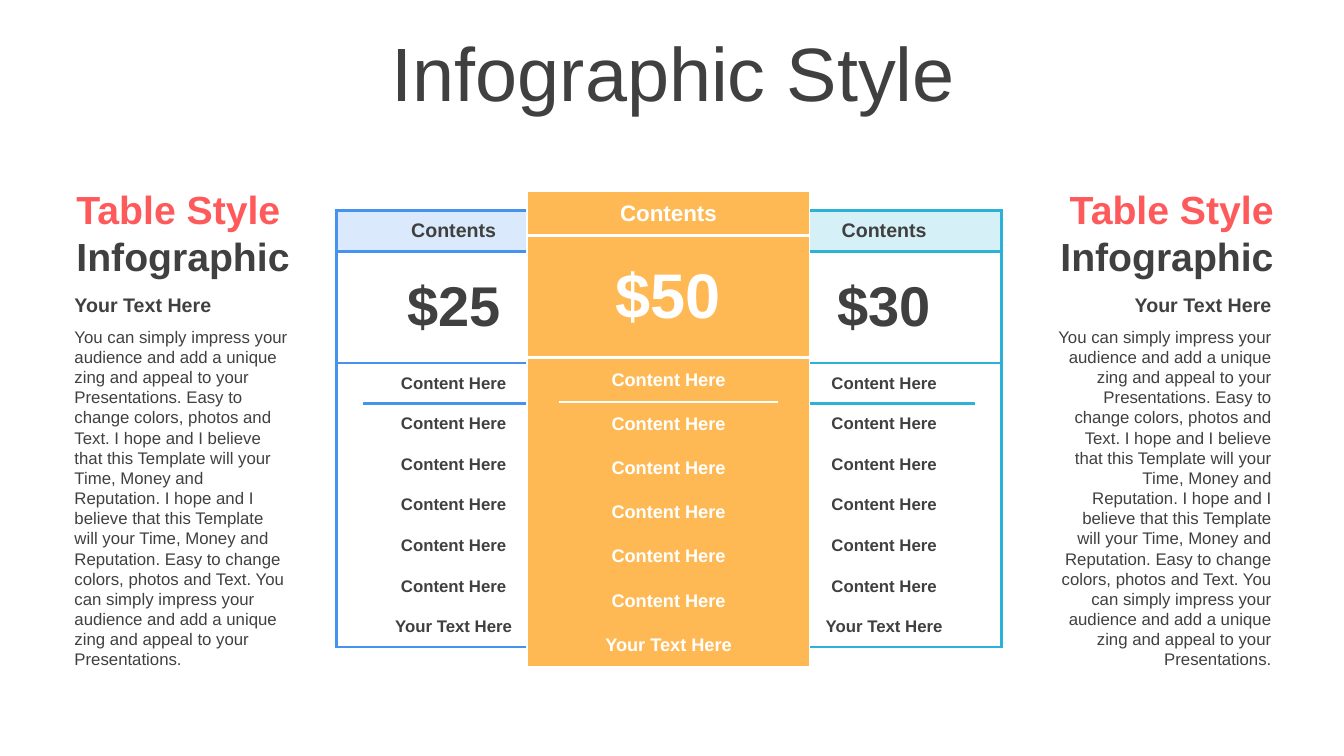
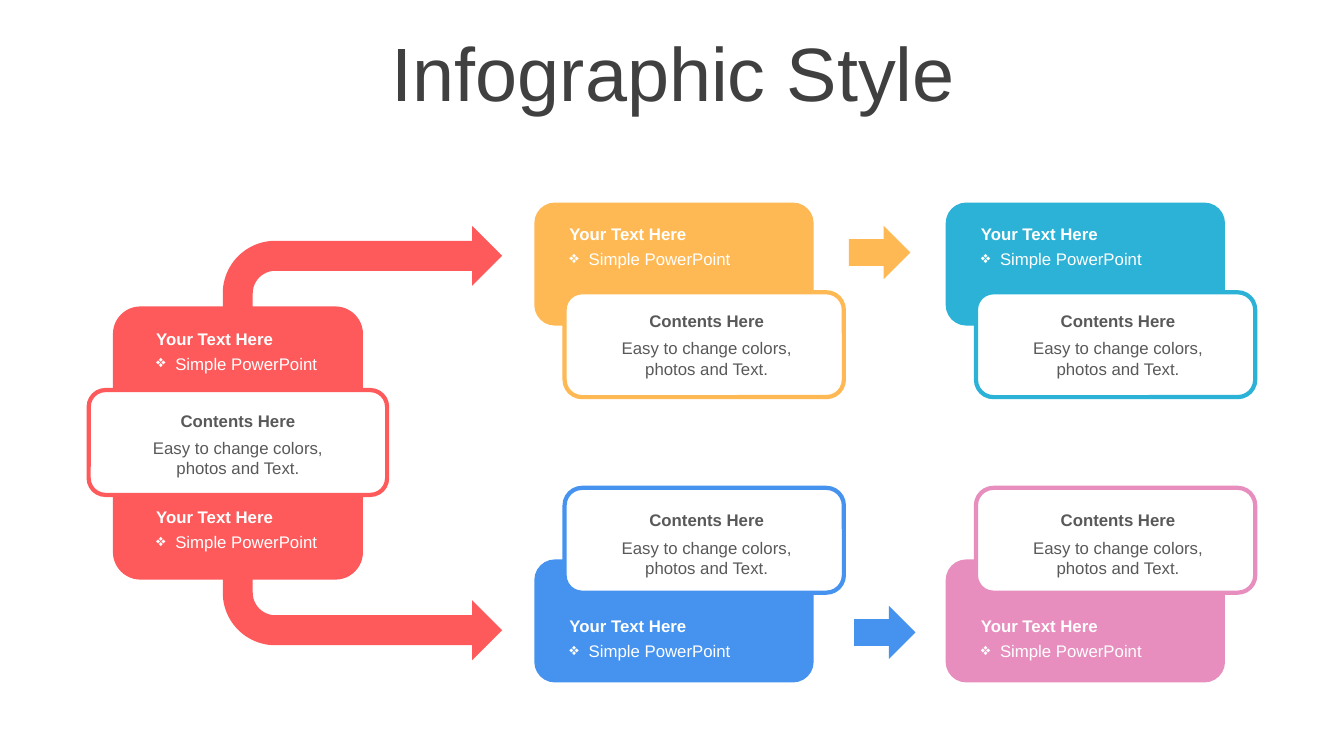
from dataclasses import dataclass

from lxml import etree
from pptx import Presentation
from pptx.dml.color import RGBColor
from pptx.enum import shapes, text
from pptx.oxml.ns import qn
from pptx.util import Emu, Pt

PX = 9144  # EMU per px, 100 px to the inch
LEFT, CENTER, RIGHT = text.PP_ALIGN.LEFT, text.PP_ALIGN.CENTER, text.PP_ALIGN.RIGHT
TOP, MIDDLE = text.MSO_ANCHOR.TOP, text.MSO_ANCHOR.MIDDLE
SHAPE = shapes.MSO_SHAPE


def px(value):
    return Emu(round(value * PX))


@dataclass(frozen=True)
class Theme:
    font: str = "Arial"
    # Colours
    ink: str = "404040"
    grey: str = "595959"
    white: str = "FFFFFF"
    red: str = "FE5A5B"
    orange: str = "FFB954"
    blue: str = "4592EF"
    teal: str = "2CB2D7"
    pink: str = "E78EBE"
    pale_blue: str = "DAE9FC"
    pale_teal: str = "D5F0F7"
    # Type sizes
    title: int = 54
    banner: int = 28
    label: int = 14
    body: int = 12


THEME = Theme()


@dataclass(frozen=True)
class PriceStyle:
    """Look of one price table: colours, type sizes, insets and borders."""
    header_fill: str
    fill: str
    ink: str
    line: str
    sizes: tuple = (14, 40, 12)
    insets: tuple = (8, 4)
    line_width: float = 2.25
    price_height: int = 111
    gutter: int = 26


class Deck:
    """Holds the theme and the slide being drawn."""

    def __init__(self, theme):
        self.theme = theme
        self.presentation = Presentation()
        self.presentation.slide_width = px(1333)
        self.presentation.slide_height = px(750)
        self.slide = None

    def new_slide(self, title):
        layout = self.presentation.slide_layouts[5]
        self.slide = self.presentation.slides.add_slide(layout)
        holder = self.slide.shapes.title
        box = {"left": 35, "top": 37, "width": 1266, "height": 79}
        for name, value in box.items():
            setattr(holder, name, px(value))
        self.fill_frame(holder.text_frame, [(title, self.theme.ink)],
                        self.theme.title, align=CENTER, anchor=MIDDLE)
        holder.text_frame.paragraphs[0].line_spacing = 0.9

    def add_text(self, paragraph, content, size, color, bold=False, align=LEFT):
        paragraph.alignment = align
        run = paragraph.add_run()
        run.text = content
        style = {"name": self.theme.font, "size": Pt(size), "bold": bold}
        for name, value in style.items():
            setattr(run.font, name, value)
        run.font.color.rgb = RGBColor.from_string(color)

    def fill_frame(self, frame, lines, size, bold=False, align=LEFT, anchor=TOP):
        settings = {"word_wrap": True, "vertical_anchor": anchor,
                    "auto_size": text.MSO_AUTO_SIZE.NONE}
        for name, value in settings.items():
            setattr(frame, name, value)
        for index, (content, color) in enumerate(lines):
            paragraph = frame.add_paragraph() if index else frame.paragraphs[0]
            self.add_text(paragraph, content, size, color, bold, align)

    def text_box(self, box, lines, size, **style):
        shape = self.slide.shapes.add_textbox(*map(px, box))
        self.fill_frame(shape.text_frame, lines, size, **style)
        return shape

    def bullet(self, box, content, color):
        shape = self.text_box(box, [(content, color)], self.theme.body, anchor=MIDDLE)
        properties = shape.text_frame.paragraphs[0]._p.get_or_add_pPr()
        properties.set("marL", str(px(19)))
        properties.set("indent", str(px(-19)))
        etree.SubElement(properties, qn("a:buChar")).set("char", "❖")

    def shape(self, kind, box, fill, line=None, radius=None, flipped=False):
        shape = self.slide.shapes.add_shape(kind, *map(px, box))
        shape.shadow.inherit = False
        shape.fill.solid()
        shape.fill.fore_color.rgb = RGBColor.from_string(fill)
        if line:
            shape.line.color.rgb = RGBColor.from_string(line)
            shape.line.width = Pt(3)
        else:
            shape.line.fill.background()
        if radius:
            shape.adjustments[0] = radius
        if flipped:
            shape.element.spPr.find(qn("a:xfrm")).set("flipV", "1")

    # Tables

    def cell(self, cell, style, fill, borders, content="", size=12):
        properties = cell._tc.get_or_add_tcPr()
        for side in "LRTB":
            if side in borders:
                line = etree.SubElement(properties, qn("a:ln" + side))
                line.set("w", str(Pt(borders[side])))
                solid = etree.SubElement(line, qn("a:solidFill"))
                etree.SubElement(solid, qn("a:srgbClr")).set("val", style.line)
        cell.fill.solid()
        cell.fill.fore_color.rgb = RGBColor.from_string(fill)
        across, down = map(px, style.insets)
        layout = {"margin_left": across, "margin_right": across, "margin_top": down,
                  "margin_bottom": down, "vertical_anchor": MIDDLE}
        for name, value in layout.items():
            setattr(cell, name, value)
        if content:
            self.add_text(cell.text_frame.paragraphs[0], content, size, style.ink,
                          True, CENTER)

    def price_table(self, box, price, style):
        rows = ["Contents", price] + ["Content Here"] * 6 + ["Your Text Here"]
        last = len(rows) - 1
        frame = self.slide.shapes.add_table(len(rows), 3, *map(px, box))
        # Plain table style, so that only the cell borders show
        for style_id in frame.element.iter(qn("a:tableStyleId")):
            style_id.text = "{2D5ABB26-0587-4C30-8999-92F81FD0307C}"
        table = frame.table
        table.first_row = table.horz_banding = False
        widths = (style.gutter, box[2] - 2 * style.gutter, style.gutter)
        for column, width in zip(table.columns, widths):
            column.width = px(width)

        row_height = (box[3] - style.price_height) / last
        header_size, price_size, item_size = style.sizes
        width = style.line_width
        sides = {"L": width, "R": width}
        merged = {
            0: (header_size, style.header_fill, {**sides, "T": width, "B": 2.25}),
            1: (price_size, style.fill, {**sides, "T": 2.25}),
            last: (item_size, style.fill, {**sides, "B": width}),
        }
        for index, content in enumerate(rows):
            table.rows[index].height = px(style.price_height if index == 1 else row_height)
            left, middle, right = (table.cell(index, column) for column in range(3))
            if index in merged:
                size, fill, borders = merged[index]
                left.merge(right)
                self.cell(left, style, fill, borders, content, size)
            else:
                rule = {"T": width} if index == 2 else {}
                self.cell(left, style, style.fill, {"L": width})
                self.cell(middle, style, style.fill, rule, content, item_size)
                self.cell(right, style, style.fill, {"R": width})

    # Groups of elements

    def side_column(self, left, align):
        theme = self.theme
        self.text_box((left, 286, 232, 34), [("Your Text Here", theme.ink)],
                      theme.label, bold=True, align=align)
        self.text_box((left, 319, 232, 353), [(SIDE_TEXT, theme.ink)],
                      theme.body, align=align)
        self.text_box((left + 2, 179, 232, 104),
                      [("Table Style", theme.red), ("Infographic", theme.ink)],
                      theme.banner, bold=True, align=align)

    def card_label(self, left, top, width):
        self.bullet((left, top + 25, width, 30), "Simple PowerPoint", self.theme.white)
        self.text_box((left, top, width, 30), [("Your Text Here", self.theme.white)],
                      self.theme.body, bold=True, anchor=MIDDLE)

    def panel(self, box, color, text_left, text_width, text_drop, radius=None):
        left, top = box[:2]
        self.shape(SHAPE.ROUNDED_RECTANGLE, box, self.theme.white, color, radius)
        for drop, height, content, bold in (
                (30, 43, "Easy to change colors, photos and Text.", False),
                (0, 28, "Contents Here", True)):
            self.text_box((left + text_left, top + text_drop + drop, text_width, height),
                          [(content, self.theme.grey)], self.theme.body,
                          bold=bold, align=CENTER, anchor=MIDDLE)

    def card(self, left, top, color, panel_drop, text_drop, label_drop):
        self.shape(SHAPE.ROUNDED_RECTANGLE, (left, top, 277, 122), color)
        self.panel((left + 30, top + panel_drop, 277, 104), color, 28, 226, text_drop)
        self.card_label(left + 25, top + label_drop, 234)


SIDE_TEXT = (
    "You can simply impress your audience and add a unique zing and appeal to your "
    "Presentations. Easy to change colors, photos and Text. I hope and I believe that "
    "this Template will your Time, Money and Reputation. I hope and I believe that this "
    "Template will your Time, Money and Reputation. Easy to change colors, photos and "
    "Text. You can simply impress your audience and add a unique zing and appeal to "
    "your Presentations.")


def price_slide(deck):
    theme = deck.theme
    deck.new_slide("Infographic Style")
    # The middle table comes last, so that it overlaps its neighbours
    for left, price, pale, color in ((761, "$30", theme.pale_teal, theme.teal),
                                     (334, "$25", theme.pale_blue, theme.blue)):
        deck.price_table((left, 209, 232, 433), price,
                         PriceStyle(pale, theme.white, theme.ink, color))
    deck.price_table((523, 190, 280, 472), "$50",
                     PriceStyle(theme.orange, theme.orange, theme.white, theme.white,
                                (16, 45, 13), (9, 5), 1.5, 121, 31))
    deck.side_column(64, LEFT)
    deck.side_column(1039, RIGHT)


def flow_slide(deck):
    theme = deck.theme
    deck.new_slide("Infographic Style")
    # Source card with its two bent arrows
    for top, flipped in ((224, False), (536, True)):
        deck.shape(SHAPE.BENT_ARROW, (221, top, 277, 119), theme.red, flipped=flipped)
    deck.shape(SHAPE.ROUNDED_RECTANGLE, (112, 304, 248, 271), theme.red, radius=0.11)
    deck.panel((88, 387, 296, 104), theme.red, 47, 202, 16, radius=0.16)
    for top in (321, 498):
        deck.card_label(145, top, 182)
    # Upper and lower rows of cards
    upper = {"panel_drop": 89, "text_drop": 14, "label_drop": 16}
    lower = {"panel_drop": -71, "text_drop": 18, "label_drop": 51}
    for top, colors, drops in ((201, (theme.orange, theme.teal), upper),
                               (555, (theme.blue, theme.pink), lower)):
        for left, color in zip((530, 938), colors):
            deck.card(left, top, color, **drops)
    # Arrows between the cards
    for left, top, color in ((842, 224, theme.orange), (847, 601, theme.blue)):
        deck.shape(SHAPE.RIGHT_ARROW, (left, top, 61, 53), color)


def main():
    deck = Deck(THEME)
    price_slide(deck)
    flow_slide(deck)
    deck.presentation.save("out.pptx")


if __name__ == "__main__":
    main()
